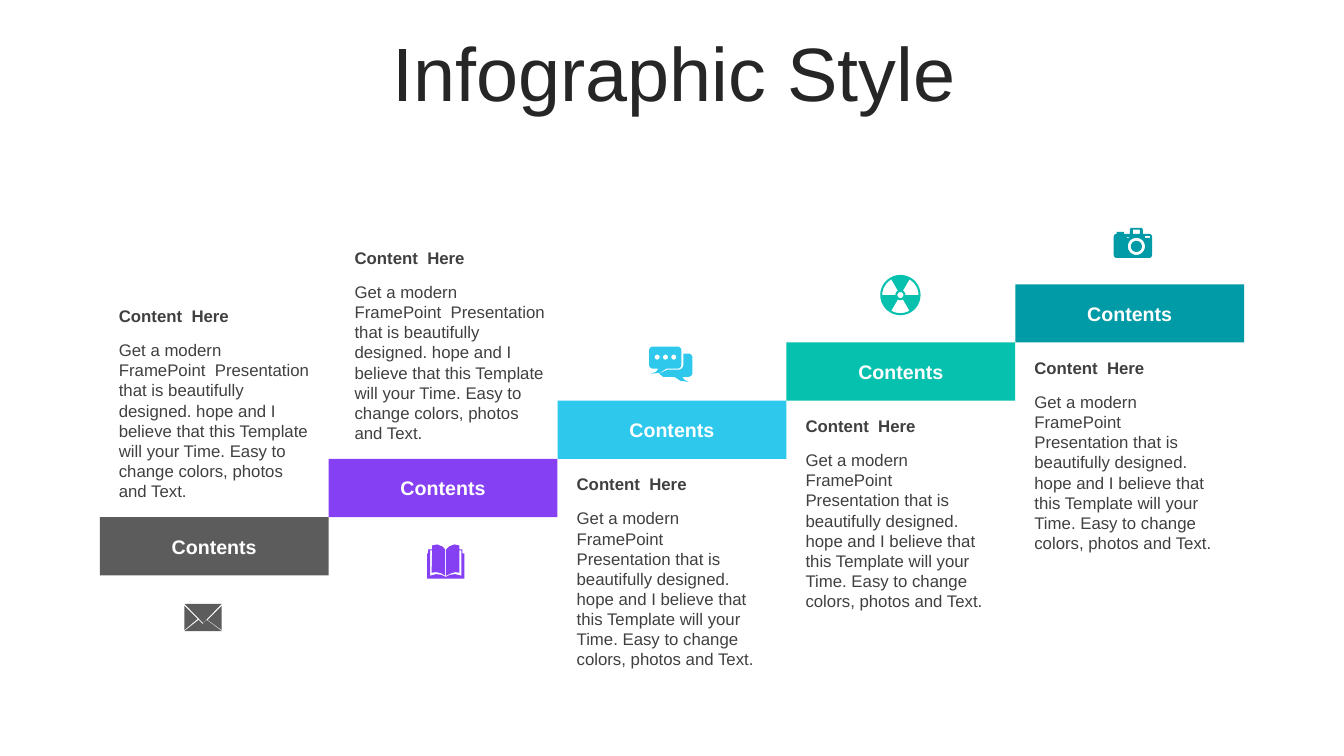
from dataclasses import dataclass
from math import cos, radians, sin

from pptx import Presentation
from pptx import util as u
from pptx.dml.color import RGBColor
from pptx.enum import shapes, text

Point = tuple[float, float]
Contour = list[Point]

GRAY = RGBColor(0x5C, 0x5C, 0x5C)
PURPLE = RGBColor(0x85, 0x40, 0xF4)
SKY = RGBColor(0x2E, 0xC8, 0xED)
MINT = RGBColor(0x07, 0xC1, 0xAF)
TEAL = RGBColor(0x01, 0x9B, 0xA7)
WHITE = RGBColor(0xFF, 0xFF, 0xFF)
TITLE_INK = RGBColor(0x26, 0x26, 0x26)
BODY_INK = RGBColor(0x40, 0x40, 0x40)

FONT = "Arial"
GRID_LEFT, GRID_TOP = 0.99, 2.82
COLUMN, ROW = 2.27, 2.31 / 4
ICON_UNIT = u.Inches(0.01)
HEADING = "Content  Here"
BODY = (
    "Get a modern FramePoint  Presentation that is beautifully designed. "
    "hope and I believe that this Template will your Time. "
    "Easy to change colors, photos and Text."
)


@dataclass(frozen=True)
class Cell:
    column: float
    row: float
    columns: float = 1
    rows: float = 1

    def bounds(self) -> tuple[int, int, int, int]:
        return (
            u.Inches(GRID_LEFT + self.column * COLUMN),
            u.Inches(GRID_TOP + self.row * ROW),
            u.Inches(self.columns * COLUMN),
            u.Inches(self.rows * ROW),
        )


@dataclass(frozen=True)
class Step:
    color: RGBColor
    indent: float
    caption_columns: float
    caption_row: float
    icon_column: float
    icon_row: float
    icon: list[Contour]


def arc(x: float, y: float, radius: float, start: int = 0, end: int = 360) -> Contour:
    count = max(6, abs(end - start) // 10)
    angles = [radians(start + (end - start) * i / count) for i in range(count + 1)]
    return [(x + radius * cos(a), y + radius * sin(a)) for a in angles]


def block(left: float, top: float, width: float, height: float) -> Contour:
    right, bottom = left + width, top + height
    return [(left, top), (right, top), (right, bottom), (left, bottom)]


def sector(start: int) -> Contour:
    return arc(20, 20, 18, start, start + 60) + arc(20, 20, 5, start + 60, start)


ENVELOPE = [
    [(22, 16), (37, 27), (0, 27), (14, 16), (18, 20)],
    [(37, 2), (37, 26), (23, 16)],
    [(0, 2), (13, 15), (0, 26)],
    [(0, 0), (37, 0), (18.5, 19)],
]
BOOK = [
    [(18, 32), (19, 32), (23, 30), (28, 29.5), (34, 31), (34, 6), (32, 6),
     (32, 28), (28, 27.5), (24, 28.5), (19, 31), (19, 5), (22, 2), (27, 0),
     (32, 1), (32, 5), (35, 5), (35, 9), (37, 9), (37, 34), (0, 34), (0, 9),
     (1, 9), (1, 5), (5, 5), (5, 1), (10, 0), (15, 2), (18, 5), (18, 31),
     (14, 28.5), (9, 27.5), (4.5, 28), (5, 6), (3, 6), (3, 31), (9, 29.5), (14, 30)],
]
CHAT = [
    arc(4, 4, 4, 180, 270) + arc(28, 4, 4, 270, 360) + arc(28, 18, 4, 0, 90)
    + [(17, 22), (11, 26), (2, 27), (7, 25), (9, 22)] + arc(4, 18, 4, 90, 180),
    [(34, 7)] + arc(39, 11, 4, 270, 360) + arc(39, 26, 4, 0, 90)
    + [(33, 30), (35, 33), (39, 35), (31, 34), (25, 30), (14, 30), (10, 27),
       (18, 23)] + arc(29, 18, 5, 90, 0),
    *[arc(x, 10.5, 2.5) for x in (8, 16.25, 24.5)],
]
RADIATION = [arc(20, 20, 20), arc(20, 20, 3), *map(sector, (60, 180, 300))]
CAMERA = [
    [(17, 0), (28, 0), (29, 2), (29, 6)] + arc(35, 9, 3, 270, 360)
    + arc(35, 27, 3, 0, 90) + arc(3, 27, 3, 90, 180) + arc(3, 9, 3, 180, 270)
    + [(3, 4), (10, 4), (10, 6), (16, 6), (16, 2)],
    block(19, 2, 7, 4),
    block(13, 9, 2, 1),
    block(31, 8, 5, 2),
    arc(22.5, 18.5, 8.5),
    arc(22.5, 18.5, 5.5),
]

STEPS = [
    Step(GRAY, 0.04, 0.93, -3.72, 0.37, 1.49, ENVELOPE),
    Step(PURPLE, 0.07, 0.93, -3.72, 0.43, 1.47, BOOK),
    Step(SKY, 0.04, 0.91, 1.17, 0.4, -0.93, CHAT),
    Step(MINT, 0.04, 0.91, 1.17, 0.41, -1.16, RADIATION),
    Step(TEAL, 0.04, 0.91, 1.17, 0.43, -0.97, CAMERA),
]


def style(box, words: str, size: int, color: RGBColor, bold: bool = False):
    box.text_frame.text = words
    para = box.text_frame.paragraphs[0]
    span = para.runs[0]
    span.font.name = FONT
    span.font.size = u.Pt(size)
    span.font.bold = bold
    span.font.color.rgb = color
    return para


def paint(shape, color: RGBColor) -> None:
    shape.shadow.inherit = False
    shape.fill.solid()
    shape.fill.fore_color.rgb = color
    shape.line.fill.background()


def add_title(page) -> None:
    box = page.shapes.title
    box.left, box.top, box.width, box.height = Cell(-0.28, -4.24, 5.58, 1.37).bounds()
    para = style(box, "Infographic Style", 54, TITLE_INK)
    para.alignment = text.PP_ALIGN.CENTER
    para.line_spacing = 0.9
    box.text_frame.vertical_anchor = text.MSO_ANCHOR.MIDDLE
    box.text_frame.auto_size = text.MSO_AUTO_SIZE.NONE


def add_bar(page, cell: Cell, color: RGBColor) -> None:
    bar = page.shapes.add_shape(shapes.MSO_SHAPE.RECTANGLE, *cell.bounds())
    paint(bar, color)
    style(bar, "Contents", 14, WHITE, True).alignment = text.PP_ALIGN.CENTER
    bar.text_frame.vertical_anchor = text.MSO_ANCHOR.MIDDLE


def add_caption(page, cell: Cell, words: str, bold: bool) -> None:
    box = page.shapes.add_textbox(*cell.bounds())
    box.text_frame.word_wrap = True
    box.text_frame.auto_size = text.MSO_AUTO_SIZE.SHAPE_TO_FIT_TEXT
    style(box, words, 12, BODY_INK, bold)


def add_icon(page, cell: Cell, contours: list[Contour], color: RGBColor) -> None:
    scaled = [[(x * ICON_UNIT, y * ICON_UNIT) for x, y in c] for c in contours]
    builder = page.shapes.build_freeform(*scaled[0][0], scale=1.0)
    for index, contour in enumerate(scaled):
        if index:
            builder.move_to(*contour[0])
        builder.add_line_segments(contour[1:], close=True)
    left, top, _, _ = cell.bounds()
    paint(builder.convert_to_shape(left, top), color)


def main() -> None:
    deck = Presentation()
    deck.slide_width, deck.slide_height = u.Inches(13.33), u.Inches(7.5)
    page = deck.slides.add_slide(deck.slide_layouts[5])
    add_title(page)
    for column, step in enumerate(STEPS):
        row = len(STEPS) - 1 - column
        add_bar(page, Cell(column, row), step.color)
        left, top = column + step.indent, row + step.caption_row
        add_caption(page, Cell(left, top, step.caption_columns, 0.52), HEADING, True)
        add_caption(page, Cell(left, top + 0.59, step.caption_columns, 2.98), BODY, False)
        icon_cell = Cell(column + step.icon_column, row + step.icon_row)
        add_icon(page, icon_cell, step.icon, step.color)
    deck.save("out.pptx")


if __name__ == "__main__":
    main()
